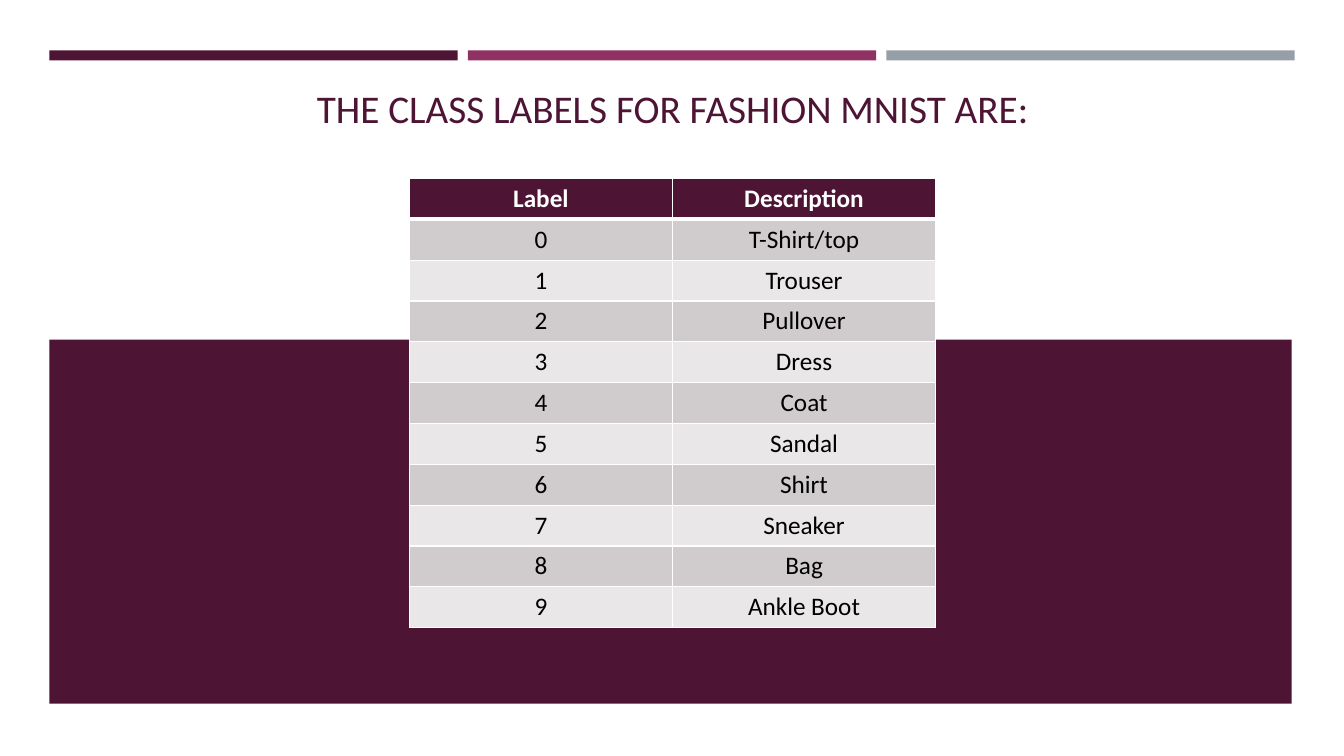
"""Build the slide that lists the Fashion MNIST class labels."""
from dataclasses import dataclass

from lxml import etree
from pptx import Presentation
from pptx import util as u
from pptx.dml.color import RGBColor
from pptx.enum import shapes, text
from pptx.oxml.ns import qn

PX = 9144


@dataclass(frozen=True)
class Theme:
    """Hold the colours, font and type sizes."""
    plum: str = "4D1434"
    berry: str = "903163"
    grey: str = "969FA7"
    white: str = "FFFFFF"
    black: str = "000000"
    bands: tuple = ("D0CCCE", "E9E7E8")
    font: str = "Calibri"
    title: int = 28
    body: int = 18


T = Theme()
DESCRIPTIONS = ("T-Shirt/top", "Trouser", "Pullover", "Dress", "Coat",
                "Sandal", "Shirt", "Sneaker", "Bag", "Ankle Boot")


def px(*lengths):
    """Turn pixel lengths into EMU."""
    return [u.Emu(n * PX) for n in lengths]


def add_bar(s, box, color):
    """Draw a plain filled rectangle."""
    sp = s.shapes.add_shape(shapes.MSO_SHAPE.RECTANGLE, *px(*box))
    sp.shadow.inherit = False
    sp.fill.solid()
    sp.fill.fore_color.rgb = RGBColor.from_string(color)
    sp.line.fill.background()


def write(tf, words, size, color, bold=False):
    """Write one centred paragraph."""
    p = tf.paragraphs[0]
    p.text = words
    p.alignment = text.PP_ALIGN.CENTER
    p.font.name = T.font
    p.font.size = u.Pt(size)
    p.font.bold = bold
    p.font.color.rgb = RGBColor.from_string(color)


def add_title(s, box, words):
    """Add the title, resting on the bottom of its box."""
    tf = s.shapes.add_textbox(*px(*box)).text_frame
    tf.word_wrap = True
    tf.vertical_anchor = text.MSO_ANCHOR.BOTTOM
    write(tf, words, T.title, T.plum)


def set_borders(cell, color, bottom):
    """Put solid one-point borders on a cell, with its own bottom width."""
    tcPr = cell._tc.get_or_add_tcPr()
    widths = {"a:lnL": 1, "a:lnR": 1, "a:lnT": 1, "a:lnB": bottom}
    for i, (tag, width) in enumerate(widths.items()):
        ln = etree.Element(qn(tag), w=str(u.Pt(width)))
        fill = etree.SubElement(ln, qn("a:solidFill"))
        etree.SubElement(fill, qn("a:srgbClr"), val=color)
        tcPr.insert(i, ln)


def add_label_table(s, box, rows):
    """Add the table with a dark header and banded rows."""
    tbl = s.shapes.add_table(len(rows), len(rows[0]), *px(*box)).table
    for i, row in enumerate(rows):
        header = i == 0
        for j, words in enumerate(row):
            cell = tbl.cell(i, j)
            cell.fill.solid()
            fill = T.plum if header else T.bands[(i - 1) % 2]
            cell.fill.fore_color.rgb = RGBColor.from_string(fill)
            set_borders(cell, T.white, 3 if header else 1)
            write(cell.text_frame, words, T.body,
                  T.white if header else T.black, header)


def main():
    """Build and save the slide."""
    prs = Presentation()
    prs.slide_width, prs.slide_height = px(1333, 750)
    s = prs.slides.add_slide(prs.slide_layouts[6])
    for i, color in enumerate((T.plum, T.berry, T.grey)):
        add_bar(s, (49 + 415 * i, 50, 405, 10), color)
    add_bar(s, (49, 337, 1232, 361), T.plum)
    add_title(s, (167, 23, 1000, 112),
              "THE CLASS LABELS FOR FASHION MNIST ARE:")
    rows = [("Label", "Description")]
    rows += [(str(i), name) for i, name in enumerate(DESCRIPTIONS)]
    add_label_table(s, (406, 177, 522, 446), rows)
    prs.save("out.pptx")


if __name__ == "__main__":
    main()
